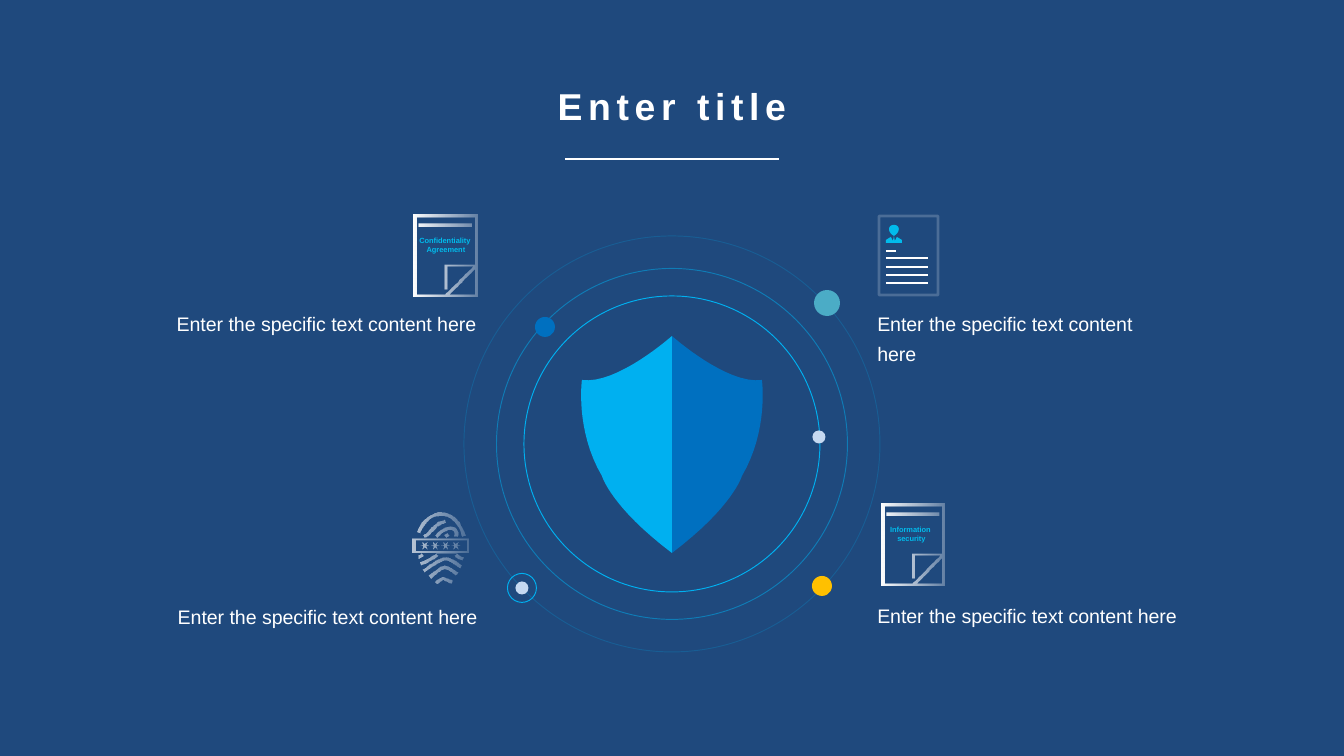
from math import cos, hypot, pi, sin

from lxml import etree
from pptx import Presentation
from pptx.dml.color import RGBColor
from pptx.enum.shapes import MSO_CONNECTOR, MSO_SHAPE
from pptx.enum.text import MSO_AUTO_SIZE, PP_ALIGN
from pptx.oxml.ns import qn
from pptx.util import Pt

STRAIGHT = MSO_CONNECTOR.STRAIGHT
OVAL, RECT = MSO_SHAPE.OVAL, MSO_SHAPE.RECTANGLE
LEFT, CENTER, RIGHT = PP_ALIGN.LEFT, PP_ALIGN.CENTER, PP_ALIGN.RIGHT
FIT = MSO_AUTO_SIZE.SHAPE_TO_FIT_TEXT

PX = 914400 / 134.4
THEME = {
    "font": "Arial", "title": 20, "body": 10.5, "label": 4,
    "bg": "1F497D", "white": "FFFFFF", "mist": "F6F9FC", "pale": "C6D9F1",
    "sky": "00B0F0", "blue": "0070C0", "teal": "4BACC6", "gold": "FFC000",
    "cyan": "01BBEC",
}
RGB = {k: RGBColor.from_string(v) for k, v in THEME.items()
       if isinstance(v, str) and k != "font"}


def bezier(a, b, c, d, n=16):
    """Points along a cubic curve."""
    return [tuple((1 - t) ** 3 * p + 3 * (1 - t) ** 2 * t * q
                  + 3 * (1 - t) * t ** 2 * r + t ** 3 * s
                  for p, q, r, s in zip(a, b, c, d))
            for t in (i / n for i in range(n + 1))]


def paint(sp, fills=(), line=None, width=0.5, alphas=()):
    """Solid, two-stop gradient or empty fill; optional line; opacity per colour."""
    sp.shadow.inherit = False
    if len(fills) == 2:
        sp.fill.gradient()
        sp.fill.gradient_angle = 0
        for stop, name in zip(sp.fill.gradient_stops, fills):
            stop.color.rgb = RGB[name]
    elif fills:
        sp.fill.solid()
        sp.fill.fore_color.rgb = RGB[fills[0]]
    else:
        sp.fill.background()
    if line:
        sp.line.color.rgb = RGB[line]
        sp.line.width = Pt(width)
    else:
        sp.line.fill.background()
    colors = sp._element.spPr.iter(qn("a:srgbClr"))
    for color, percent in zip(list(colors), alphas):
        etree.SubElement(color, qn("a:alpha")).set("val", str(percent * 1000))


prs = Presentation()
prs.slide_width, prs.slide_height = round(1344 * PX), round(756 * PX)
s = prs.slides.add_slide(prs.slide_layouts[6])
s.background.fill.solid()
s.background.fill.fore_color.rgb = RGB["bg"]

# Orbits and dots: centre, diameter, fill, line, opacity
circles = [
    (672, 444, 296, (), "sky", 100),
    (672, 444, 351, (), "sky", 50),
    (672, 444, 416, (), "sky", 20),
    (819, 437, 13, ["pale"], None, 100),
    (822, 586, 20, ["gold"], None, 100),
    (545, 327, 20, ["blue"], None, 100),
    (522, 588, 13, ["pale"], None, 100),
    (827, 303, 26, ["teal"], None, 100),
    (522, 588, 29, (), "sky", 100),
]
for cx, cy, d, fills, line, alpha in circles:
    sp = s.shapes.add_shape(OVAL, *(round(v * PX) for v in
                                    (cx - d / 2, cy - d / 2, d, d)))
    paint(sp, fills, line, alphas=[alpha])

# Shield halves, mirrored about the centre line
half = (bezier((672, 336), (672, 336), (727, 385), (762, 380))
        + bezier((762, 380), (762, 380), (769, 430), (742, 476))
        + bezier((742, 476), (742, 476), (733, 507), (672, 553)))
mirrored = [(2 * 672 - x, y) for x, y in half]

# Folded page: outer edge, inner edge, corner, heading bar
page = [
    [(0, 0), (63, 0), (63, 82), (0, 82)],
    [(3, 3), (3, 79), (31, 79), (58, 52), (33, 52), (33, 74), (30, 74),
     (30, 50), (60, 50), (60, 3)],
    [(60, 54), (35, 79), (60, 79)],
    [(5, 9), (57, 9), (57, 12), (5, 12)],
]

# Person on the profile card
person = [
    bezier((894, 236), (887, 232), (888, 225), (894, 225))
    + bezier((894, 225), (900, 225), (901, 232), (894, 236)),
    [(886, 243), (886, 240), (891, 237), (893, 241), (894, 236),
     (895, 241), (897, 237), (902, 240), (902, 243)],
]

# Fingerprint: frame, asterisks, and ridges 3 px thick along centre curves
fingerprint = [
    [(413, 538), (468, 538), (468, 552), (413, 552)],
    [(416, 540), (466, 540), (466, 550), (416, 550)],
]
for cx in range(425, 457, 10):
    fingerprint.append([(cx + r * cos(i * pi / 6), 545 + r * sin(i * pi / 6))
                        for i in range(12) for r in [4 if i % 2 == 0 else 1.5]])
ridges = [
    [(436, 582), (442, 576), (443, 577), (451, 581)],
    [(430, 576), (444, 564), (444, 564), (456, 573)],
    [(424, 570), (445, 555), (445, 555), (460, 566)],
    [(455, 554), (457, 556), (459, 557), (462, 558)],
    [(437, 554), (432, 558), (426, 561), (421, 563)],
    [(423, 554), (422, 555), (420, 556), (419, 556)],
    [(445, 536), (446, 535), (447, 535), (448, 534)],
    [(436, 536), (445, 525), (458, 525), (455, 536)],
    [(424, 536), (433, 532), (432, 524), (445, 521)],
    [(419, 532), (428, 508), (455, 506), (463, 536)],
]
for ridge in ridges:
    curve = bezier(*ridge)
    sides = [], []
    for i, (x, y) in enumerate(curve):
        (x0, y0), (x1, y1) = curve[max(i - 1, 0)], curve[min(i + 1, len(curve) - 1)]
        k = 1.6 / hypot(x1 - x0, y1 - y0)
        dx, dy = (y0 - y1) * k, (x1 - x0) * k
        sides[0].append((x + dx, y + dy))
        sides[1].append((x - dx, y - dy))
    fingerprint.append(sides[0] + sides[1][::-1])

# Draw every outline: contours, offset, fills, opacities
outlines = [
    ([half], (0, 0), ["blue"], ()),
    ([mirrored], (0, 0), ["sky"], ()),
    (page, (414, 215), ["white", "white"], (100, 30)),
    (page, (881, 504), ["white", "white"], (100, 30)),
    (person, (0, 0), ["cyan"], ()),
    (fingerprint, (0, 0), ["white", "mist"], (68, 20)),
]
for contours, (ox, oy), fills, alphas in outlines:
    builder = None
    for contour in contours:
        pts = [((x + ox) * PX, (y + oy) * PX) for x, y in contour]
        if builder is None:
            builder = s.shapes.build_freeform(*pts[0], scale=1.0)
        else:
            builder.move_to(*pts[0])
        builder.add_line_segments(pts[1:], close=True)
    paint(builder.convert_to_shape(), fills, alphas=alphas)

# Profile card frame
sp = s.shapes.add_shape(RECT, *(round(v * PX) for v in (879, 216, 59, 79)))
paint(sp, line="white", width=1.5, alphas=[20])

# Card text lines and title rule
rules = [(886, 896, 251), (565, 779, 159)]
rules += [(886, 928, y) for y in (258, 267, 275, 283)]
for x0, x1, y in rules:
    c = s.shapes.add_connector(STRAIGHT, *(round(v * PX) for v in (x0, y, x1, y)))
    c.line.color.rgb = RGB["white"]
    c.line.width = Pt(0.75)
    etree.SubElement(c._element.spPr, qn("a:effectLst"))

# Texts: box, paragraphs, role, alignment, colour
body = ["Enter the specific text content here"]
texts = [
    ((235, 77, 874, 59), ["Enter title"], "title", CENTER, "white"),
    ((146, 298, 344, 44), body, "body", RIGHT, "white"),
    ((864, 298, 324, 75), body, "body", LEFT, "white"),
    ((116, 591, 375, 44), body, "body", RIGHT, "white"),
    ((864, 590, 344, 44), body, "body", LEFT, "white"),
    ((405, 229, 82, 32), ["Confidentiality ", "Agreement"], "label", CENTER, "cyan"),
    ((876, 518, 71, 32), ["Information ", "security"], "label", CENTER, "cyan"),
]
for box, lines, role, align, color in texts:
    tf = s.shapes.add_textbox(*(round(v * PX) for v in box)).text_frame
    tf.word_wrap = role != "label"
    tf.auto_size = FIT
    for i, line in enumerate(lines):
        p = tf.add_paragraph() if i else tf.paragraphs[0]
        p.alignment = align
        if role == "body":
            p.line_spacing = 1.3
        r = p.add_run()
        r.text = line
        r.font.name = THEME["font"]
        r.font.size = Pt(THEME[role])
        r.font.bold = role != "body"
        r.font.color.rgb = RGB[color]
        if role == "title":
            r._r.get_or_add_rPr().set("spc", "300")

prs.save("out.pptx")
